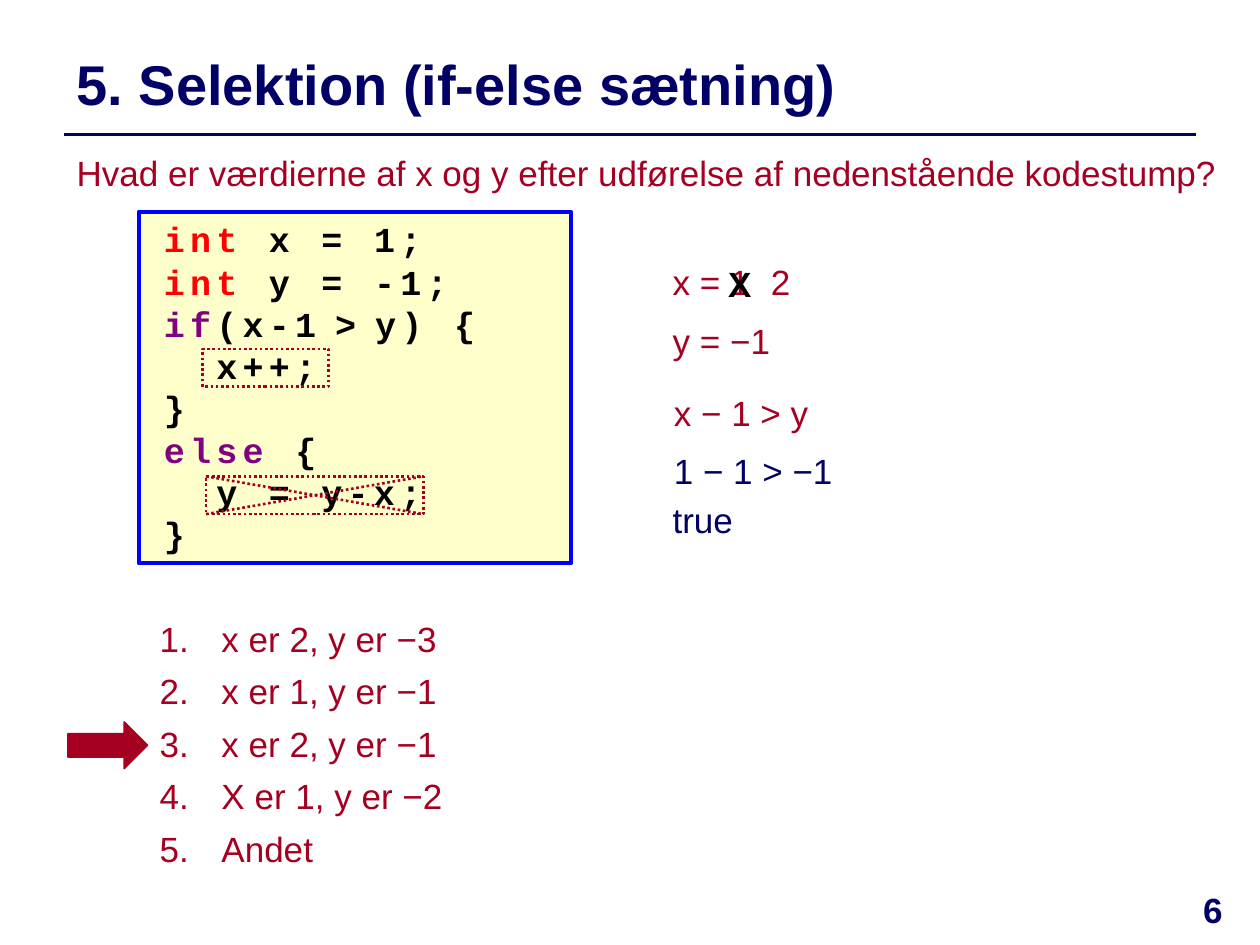
"""Build a quiz slide about if-else selection in code."""
from lxml.etree import SubElement
from pptx import Presentation
from pptx.dml.color import RGBColor
from pptx.enum.dml import MSO_LINE
from pptx.enum.shapes import MSO_CONNECTOR, MSO_SHAPE
from pptx.enum.text import MSO_ANCHOR, MSO_AUTO_SIZE, PP_ALIGN
from pptx.oxml.ns import qn
from pptx.util import Pt

NAVY = RGBColor(0x00, 0x00, 0x66)
CRIMSON = RGBColor(0xA5, 0x00, 0x21)
BLUE = RGBColor(0x00, 0x00, 0xFF)
CREAM = RGBColor(0xFF, 0xFF, 0xCC)
RED = RGBColor(0xFF, 0x00, 0x00)
PURPLE = RGBColor(0x80, 0x00, 0x80)
BLACK = RGBColor(0x00, 0x00, 0x00)

CODE = [
    [("int ", RED, 20), ("x = 1;", BLACK, 20)],
    [("int ", RED, 20), ("y = -1;", BLACK, 20)],
    [("if", PURPLE, 20), ("(x-1", BLACK, 20), (" ", BLACK, 8),
     (">", BLACK, 20), (" ", BLACK, 8), ("y) {", BLACK, 20)],
    [("  x++;", BLACK, 20)],
    [("}", BLACK, 20)],
    [("else ", PURPLE, 20), ("{", BLACK, 20)],
    [("  y = y-x;", BLACK, 20)],
    [("}", BLACK, 20)],
]
ANSWERS = ["x er 2, y er −3", "x er 1, y er −1", "x er 2, y er −1",
           "X er 1, y er −2", "Andet"]
TRACE = [
    ("x = 1", 377.3, 145.4, 60.5, CRIMSON, False),
    ("y = −1", 377.3, 179.3, 75.6, CRIMSON, False),
    ("2", 433.4, 145.4, 45.4, CRIMSON, False),
    ("X", 409, 146.2, 43.9, BLACK, True),
    ("x − 1 > y", 378, 220.3, 120.2, CRIMSON, False),
    ("1 − 1 > −1", 378, 253.4, 120.2, NAVY, False),
    ("true", 377.3, 281.5, 103.7, NAVY, False),
]


def style(font, color, size=20, bold=False, name="Arial"):
    """Set the face, size, weight and colour of a font."""
    font.name, font.size, font.bold = name, Pt(size), bold
    font.color.rgb = color


def add_text(slide, text, left, top, width, height, color,
             size=20, bold=False, after=0):
    """Add a wrapping text box with one style throughout."""
    box = slide.shapes.add_textbox(Pt(left), Pt(top), Pt(width), Pt(height))
    frame = box.text_frame
    frame.word_wrap = True
    frame.text = text
    for paragraph in frame.paragraphs:
        paragraph.space_after = Pt(after)
        for run in paragraph.runs:
            style(run.font, color, size, bold)
    return frame


def add_line(shapes, x1, y1, x2, y2, color, width, dash=None):
    """Add a straight line without shadow."""
    line = shapes.add_connector(MSO_CONNECTOR.STRAIGHT,
                                Pt(x1), Pt(y1), Pt(x2), Pt(y2))
    line.line.color.rgb, line.line.width = color, Pt(width)
    if dash:
        line.line.dash_style = dash
    SubElement(line._element.spPr, qn("a:effectLst"))


def add_figure(shapes, kind, left, top, width, height, fill, outline,
               weight, dash=None):
    """Add a preset shape, unfilled when fill is None."""
    figure = shapes.add_shape(kind, Pt(left), Pt(top), Pt(width), Pt(height))
    figure.shadow.inherit = False
    if fill is None:
        figure.fill.background()
    else:
        figure.fill.solid()
        figure.fill.fore_color.rgb = fill
    figure.line.color.rgb, figure.line.width = outline, Pt(weight)
    if dash:
        figure.line.dash_style = dash
    return figure


def add_dotted_frame(shapes, left, top, width, height):
    """Add a dotted frame around a code line."""
    add_figure(shapes, MSO_SHAPE.RECTANGLE, left, top, width, height,
               None, CRIMSON, 1.5, MSO_LINE.ROUND_DOT)


def add_code(slide):
    """Add the code panel with coloured keywords."""
    panel = add_figure(slide.shapes, MSO_SHAPE.RECTANGLE,
                       79.2, 121, 247, 200.9, CREAM, BLUE, 2.25)
    frame = panel.text_frame
    frame.margin_left = Pt(14.4)
    frame.vertical_anchor = MSO_ANCHOR.TOP
    frame.auto_size = MSO_AUTO_SIZE.SHAPE_TO_FIT_TEXT
    frame.text = "\n".join("" for _ in CODE)
    for paragraph, tokens in zip(frame.paragraphs, CODE):
        paragraph.alignment = PP_ALIGN.LEFT
        for text, color, size in tokens:
            run = paragraph.add_run()
            run.text = text
            style(run.font, color, size, True, "Courier New")
            run.font._element.set("spc", "300")


def add_answers(slide):
    """Add the automatically numbered answers."""
    frame = add_text(slide, "\n".join(ANSWERS), 84.2, 349.2, 198.7, 152.6,
                     CRIMSON, after=6)
    indent = Pt(35.3)
    for paragraph in frame.paragraphs:
        properties = paragraph._p.get_or_add_pPr()
        properties.set("marL", str(indent))
        properties.set("indent", str(-indent))
        SubElement(properties, qn("a:buFont"), typeface="+mj-lt")
        SubElement(properties, qn("a:buAutoNum"), type="arabicPeriod")
        tabs = SubElement(properties, qn("a:tabLst"))
        SubElement(tabs, qn("a:tab"), pos=str(indent), algn="l")
        style(paragraph.font, CRIMSON)


def add_skipped_branch(slide):
    """Frame and cross out the branch that is not run."""
    shapes = slide.shapes.add_group_shape().shapes
    left, top, width, height = 117.7, 272.2, 124.2, 21.6
    right, bottom = left + width, top + height
    add_dotted_frame(shapes, left, top, width, height)
    for start, end in ((bottom, top), (top, bottom)):
        add_line(shapes, left, start, right, end, CRIMSON, 1.5,
                 MSO_LINE.ROUND_DOT)


def main():
    """Build and save the slide."""
    deck = Presentation()
    deck.slide_width, deck.slide_height = Pt(720), Pt(540)
    slide = deck.slides.add_slide(deck.slide_layouts[6])
    add_line(slide.shapes, 36.7, 77, 683.3, 77, NAVY, 2)
    title = add_text(slide, "5. Selektion (if-else sætning)",
                     36.7, 20.2, 646.6, 54, NAVY, 32, True)
    title.vertical_anchor = MSO_ANCHOR.MIDDLE
    add_text(slide, "Hvad er værdierne af x og y efter udførelse af "
             "nedenstående kodestump?", 36.7, 82.8, 669, 31.7, CRIMSON)
    add_code(slide)
    add_answers(slide)
    add_figure(slide.shapes, MSO_SHAPE.RIGHT_ARROW,
               38.9, 412.6, 45.4, 26.6, CRIMSON, CRIMSON, 1)
    for text, left, top, width, color, bold in TRACE:
        add_text(slide, text, left, top, width, 31.7, color,
                 bold=bold, after=6)
    add_dotted_frame(slide.shapes, 115.9, 199.4, 72, 21.6)
    number = add_text(slide, "6", 666, 504, 54, 36, NAVY, bold=True)
    number.paragraphs[0].alignment = PP_ALIGN.CENTER
    add_skipped_branch(slide)
    deck.save("out.pptx")


if __name__ == "__main__":
    main()
